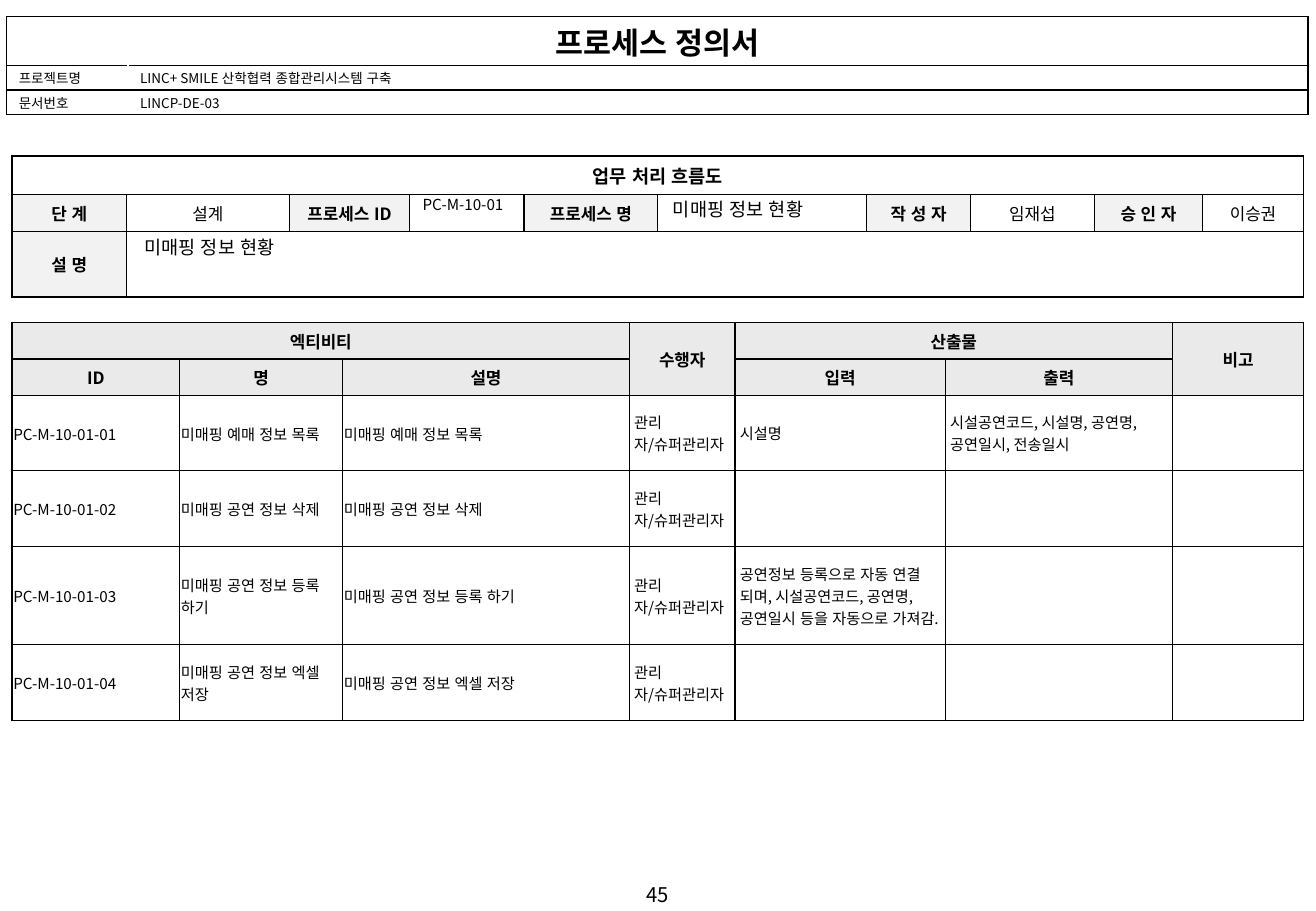
from lxml.etree import SubElement
from pptx import Presentation
from pptx.dml.color import RGBColor
from pptx.enum.text import MSO_ANCHOR, PP_ALIGN
from pptx.oxml.ns import qn
from pptx.util import Emu, Inches, Pt

FONT = "Noto Sans CJK KR"
BLACK, WHITE, LABEL, HEAD = "000000", "FFFFFF", "F2F2F2", "EAEAEA"
WIDE = (0.1, 0.05, 0.1, 0.05)
TITLE_INSET = (0.1, 0.02, 0.1, 0.02)
TIGHT = (0.01, 0.01, 0.01, 0)
EVEN = (0.04, 0.04, 0.04, 0.04)


def color(value):
    """Turn a hex string into a colour."""
    return RGBColor.from_string(value)


def share(box, x, y, w, h):
    """Return the part of a box given in percent of its size."""
    left, top, width, height = box
    return (left + width * x / 100, top + height * y / 100,
            width * w / 100, height * h / 100)


def write(tf, text, size=10, bold=False, align=PP_ALIGN.LEFT, inset=WIDE):
    """Write one formatted paragraph into a text frame."""
    tf.word_wrap = True
    p = tf.paragraphs[0]
    p.alignment = align
    if not text:
        SubElement(p._p, qn("a:endParaRPr"), lang="ko-KR", sz=str(size * 100))
        return
    r = p.add_run()
    r.text = text
    r.font.size, r.font.bold, r.font.name = Pt(size), bold, FONT
    r.font.color.rgb = color(BLACK)
    rPr = r._r.get_or_add_rPr()
    rPr.set("lang", "ko-KR")
    rPr.set("kern", "0")
    SubElement(rPr, qn("a:ea"), typeface=FONT)


def set_inset(obj, inset):
    """Set the inner margins of a cell or text frame."""
    obj.margin_left, obj.margin_top, obj.margin_right, obj.margin_bottom = map(Inches, inset)


def add_text(s, box, text, **fmt):
    """Add a text box."""
    tf = s.shapes.add_textbox(*map(Emu, map(int, box))).text_frame
    set_inset(tf, WIDE)
    write(tf, text, **fmt)


def set_borders(cell, edges):
    """Draw the borders of a cell from (width, colour) by side."""
    tcPr = cell._tc.get_or_add_tcPr()
    for side in "LRTB":
        width, value = edges[side]
        ln = SubElement(tcPr, qn(f"a:ln{side}"), w=str(Pt(width)))
        SubElement(SubElement(ln, qn("a:solidFill")), qn("a:srgbClr"), val=value)


def add_grid(s, box, cols, rows, texts, style, merges=(), outer="", inner=0.75):
    """Add a table whose columns and rows share the box by weight."""
    left, top, width, height = map(int, box)
    tbl = s.shapes.add_table(len(rows), len(cols), left, top, width, height).table
    tbl.first_row = tbl.horz_banding = False
    for col, weight in zip(tbl.columns, cols):
        col.width = Emu(int(width * weight / sum(cols)))
    for row, weight in zip(tbl.rows, rows):
        row.height = Emu(int(height * weight / sum(rows)))
    for r1, c1, r2, c2 in merges:
        tbl.cell(r1, c1).merge(tbl.cell(r2, c2))
    for i, line in enumerate(texts):
        for j, text in enumerate(line):
            cell = tbl.cell(i, j)
            fmt = dict(style(i, j))
            fill, anchor = fmt.pop("fill", WHITE), fmt.pop("anchor", MSO_ANCHOR.MIDDLE)
            right, bottom = j + cell.span_width, i + cell.span_height
            on_edge = {"L": j == 0, "R": right == len(cols),
                       "T": i == 0, "B": bottom == len(rows)}
            edges = {k: (1 if on_edge[k] and k in outer else inner, BLACK) for k in "LRTB"}
            edges.update(fmt.pop("edges", {}))
            set_borders(cell, edges)
            cell.fill.solid()
            cell.fill.fore_color.rgb = color(fill)
            cell.vertical_anchor = anchor
            set_inset(cell, fmt.get("inset", WIDE))
            write(cell.text_frame, text, **fmt)


def document_header(s, box):
    """Place the document title with project name and number."""
    def style(i, j):
        """Format the title row and the detail rows."""
        fmt = dict(inset=TITLE_INSET, anchor=MSO_ANCHOR.TOP)
        if i == 0:
            return dict(fmt, size=18, bold=True, align=PP_ALIGN.CENTER)
        return dict(fmt, size=8, edges={"L" if j else "R": (1, WHITE)})

    texts = [["프로세스 정의서", ""],
             ["프로젝트명", "LINC+ SMILE 산학협력 종합관리시스템 구축"],
             ["문서번호", "LINCP-DE-03"]]
    add_grid(s, box, [1, 9.72], [0.39, 0.17, 0.17], texts, style,
             merges=[(0, 0, 0, 1)], inner=1)


def process_info(s, box):
    """Place the process summary and its entries."""
    def style(i, j):
        """Format labels bold on grey and values plain on white."""
        label = i > 0 and j % 2 == 0 and (i == 1 or j == 0)
        return dict(size=10 if i else 11, bold=label or i == 0,
                    align=PP_ALIGN.CENTER, fill=LABEL if label else WHITE)

    texts = [["업무 처리 흐름도"] + [""] * 9,
             ["단 계", "설계", "프로세스 ID", "", "프로세스 명", "",
              "작 성 자", "임재섭", "승 인 자", "이승권"],
             ["설 명"] + [""] * 9]
    add_grid(s, box, [0.94, 1.34, 0.99, 0.94, 1.1, 1.72, 0.85, 1.02, 0.89, 0.83],
             [0.28, 0.27, 0.54], texts, style,
             merges=[(0, 0, 0, 9), (2, 1, 2, 9)], outer="LRTB")
    for part, text, size in [((30.86, 25.69, 8.75, 22.94), "PC-M-10-01", 9),
                             ((50.24, 27.52, 16.09, 26.61), "미매핑 정보 현황", 11),
                             ((9.31, 55.96, 89.65, 26.61), "미매핑 정보 현황", 11)]:
        add_text(s, share(box, *part), text, size=size)


def activity_list(s, box):
    """Place the table of activities with inputs and outputs."""
    def style(i, j):
        """Format the two heading rows and the activity rows."""
        if i < 2:
            return dict(size=10, bold=True, align=PP_ALIGN.CENTER, fill=HEAD)
        return dict(size=9, inset=TIGHT if j < 3 else EVEN)

    activities = [
        ("미매핑 예매 정보 목록", "시설명", "시설공연코드, 시설명, 공연명,공연일시, 전송일시"),
        ("미매핑 공연 정보 삭제", "", ""),
        ("미매핑 공연 정보 등록 하기",
         "공연정보 등록으로 자동 연결 되며, 시설공연코드, 공연명, 공연일시 등을 자동으로 가져감.", ""),
        ("미매핑 공연 정보 엑셀 저장", "", "")]
    texts = [["엑티비티", "", "", "수행자", "산출물", "", "비고"],
             ["ID", "명", "설명", "", "입력", "출력", ""]]
    texts += [[f"PC-M-10-01-{n:02}", name, name, "관리자/슈퍼관리자", source, result, ""]
              for n, (name, source, result) in enumerate(activities, 1)]
    add_grid(s, box, [1.38, 1.34, 2.36, 0.87, 1.73, 1.87, 1.08],
             [0.3, 0.3, 0.62, 0.62, 0.81, 0.62], texts, style,
             merges=[(0, 0, 0, 2), (0, 3, 1, 3), (0, 4, 0, 5), (0, 6, 1, 6)], outer="L")


def main():
    """Build the process definition slide."""
    prs = Presentation()
    prs.slide_width, prs.slide_height = Inches(10.83), Inches(7.5)
    s = prs.slides.add_slide(prs.slide_layouts[6])
    page = (0, 0, prs.slide_width, prs.slide_height)
    document_header(s, share(page, 0.5, 1.83, 98.89, 9.73))
    process_info(s, share(page, 0.92, 17.1, 98.15, 14.53))
    activity_list(s, share(page, 0.92, 35.4, 98.15, 43.68))
    add_text(s, share(page, 0, 96.2, 100, 4), "45", size=12, align=PP_ALIGN.CENTER)
    prs.save("out.pptx")


if __name__ == "__main__":
    main()
